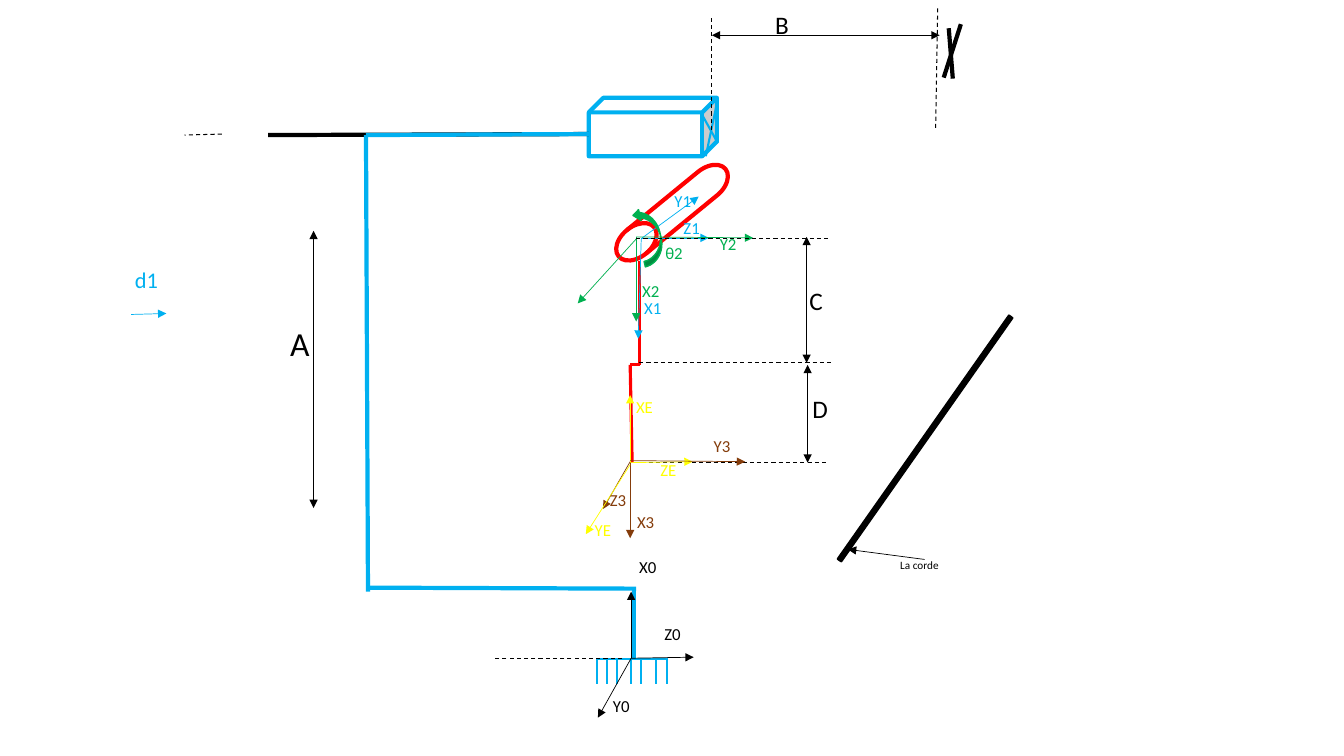
from dataclasses import dataclass

from lxml import etree
from pptx import Presentation
from pptx.dml.color import RGBColor
from pptx.enum.dml import MSO_LINE
from pptx.enum.shapes import MSO_CONNECTOR, MSO_SHAPE
from pptx.enum.text import MSO_AUTO_SIZE
from pptx.oxml.ns import qn
from pptx.util import Cm, Length, Pt

DASH = MSO_LINE.DASH
STRAIGHT = MSO_CONNECTOR.STRAIGHT
GROW = MSO_AUTO_SIZE.SHAPE_TO_FIT_TEXT
CAN = MSO_SHAPE.CAN
DRUM = MSO_SHAPE.FLOWCHART_DIRECT_ACCESS_STORAGE
CUBE = MSO_SHAPE.CUBE
CURL = MSO_SHAPE.CURVED_UP_ARROW

UNIT = 2.54
FONT = "Calibri"
HUES = {
    "black": "000000",
    "white": "FFFFFF",
    "blue": "00B0F0",
    "red": "FF0000",
    "green": "00B050",
    "brown": "843C0B",
    "yellow": "FFFF00",
}


@dataclass(frozen=True)
class Pen:
    hue: str
    width: float
    dash: bool = False
    head: bool = False
    tail: bool = False


@dataclass(frozen=True)
class Path:
    pen: Pen
    ends: tuple[float, float, float, float]


@dataclass(frozen=True)
class Solid:
    form: MSO_SHAPE
    box: tuple[float, float, float, float]
    fill: str
    pen: Pen
    turn: float = 0
    adjust: tuple[float, ...] = ()


@dataclass(frozen=True)
class Label:
    text: str
    left: float
    top: float
    hue: str = "black"
    size: int = 12
    width: float = 0.55
    height: float = 0.3


FRAME = Pen("blue", 3)
BASE = Pen("blue", 1.5)
BAR = Pen("black", 3)
ARM = Pen("red", 2.25)
GUIDE = Pen("black", 0.75, dash=True)
SPAN = Pen("black", 0.5, head=True, tail=True)
AXIS = {hue: Pen(hue, 0.5, tail=True) for hue in HUES}
TEETH = (5.92, 6.02, 6.12, 6.26, 6.36, 6.51, 6.62)

PARTS = [
    Solid(CAN, (9.15, 2.87, 0.05, 2.96), "black", Pen("black", 1), 35.1, (0.083,)),
    Path(FRAME, (6.29, 6.53, 6.29, 5.82)),
    Solid(DRUM, (5.98, 1.96, 1.37, 0.3), "white", Pen("red", 3), 140.7),
    Path(ARM, (6.34, 3.62, 6.34, 2.59)),
    Path(BAR, (9.36, 0.77, 9.53, 0.24)),
    Solid(CUBE, (5.84, 0.97, 1.27, 0.58), "white", FRAME),
    Path(BASE, (5.92, 6.54, 6.63, 6.54)),
    *(Path(BASE, (x, 6.54, x, 6.79)) for x in TEETH),
    Path(AXIS["black"], (6.26, 6.53, 6.88, 6.52)),
    Path(BAR, (2.66, 1.34, 5.84, 1.33)),
    Path(AXIS["black"], (6.26, 6.53, 6.26, 5.87)),
    Path(BASE, (7.12, 0.98, 7, 1.55)),
    Path(BASE, (6.97, 1.15, 7.12, 1.42)),
    Path(BAR, (9.41, 0.28, 9.45, 0.78)),
    Path(AXIS["black"], (6.26, 6.53, 5.93, 7.12)),
    Path(AXIS["blue"], (6.37, 2.36, 6.93, 1.95)),
    Path(GUIDE, (2.2, 1.33, 1.83, 1.34)),
    Path(GUIDE, (6.17, 6.53, 4.89, 6.53)),
    Path(GUIDE, (9.28, 1.27, 9.3, 0.08)),
    Path(SPAN, (3.11, 2.29, 3.11, 5.04)),
    Path(SPAN, (7.06, 0.35, 9.32, 0.35)),
    Path(AXIS["blue"], (1.3, 3.12, 1.65, 3.11)),
    Path(ARM, (6.27, 4.59, 6.25, 3.62)),
    Path(ARM, (6.25, 3.62, 6.35, 3.62)),
    Path(AXIS["blue"], (6.36, 2.37, 6.33, 3.36)),
    Path(AXIS["blue"], (6.36, 2.36, 7.03, 2.36)),
    Path(AXIS["green"], (6.31, 2.35, 6.31, 3.19)),
    Path(AXIS["green"], (6.31, 2.35, 7.47, 2.36)),
    Solid(CURL, (6.15, 2.23, 0.58, 0.22), "green", Pen("green", 1), 256.5, (0.25, 0.5, 0.305)),
    Path(AXIS["green"], (6.32, 2.36, 5.73, 3.01)),
    Path(GUIDE, (7.06, 1.29, 7.06, 0.16)),
    Path(GUIDE, (6.31, 2.37, 8.24, 2.37)),
    Path(GUIDE, (6.34, 3.6, 8.27, 3.6)),
    Path(GUIDE, (6.29, 4.59, 8.22, 4.59)),
    Path(SPAN, (8, 2.35, 8, 3.6)),
    Path(SPAN, (8.01, 3.62, 8.01, 4.59)),
    Path(AXIS["brown"], (6.25, 4.58, 6.25, 5.34)),
    Path(AXIS["brown"], (6.25, 4.58, 5.98, 5.05)),
    Path(AXIS["yellow"], (6.25, 4.59, 6.87, 4.58)),
    Path(AXIS["yellow"], (6.25, 4.58, 6.25, 3.92)),
    Path(AXIS["yellow"], (6.25, 4.61, 5.81, 5.3)),
    Path(AXIS["brown"], (6.25, 4.57, 7.39, 4.58)),
    Path(AXIS["black"], (9.17, 5.55, 8.41, 5.45)),
    Path(FRAME, (6.31, 5.84, 3.65, 5.83)),
    Path(FRAME, (3.65, 5.87, 3.63, 1.34)),
    Path(FRAME, (5.84, 1.33, 3.63, 1.34)),
]

LABELS = [
    Label("X0", 6.24, 5.47),
    Label("Z0", 6.49, 6.14),
    Label("Y0", 5.98, 6.85),
    Label("Y1", 6.59, 1.84, "blue"),
    Label("X1", 6.29, 2.9, "blue"),
    Label("Z1", 6.68, 2.11, "blue"),
    Label("θ2", 6.5, 2.36, "green", width=0.73),
    Label("X2", 6.27, 2.74, "green"),
    Label("Y2", 7.04, 2.27, "green", width=0.42),
    Label("Y3", 6.98, 4.27, "brown"),
    Label("X3", 6.22, 5.03, "brown"),
    Label("Z3", 5.95, 4.81, "brown"),
    Label("XE", 6.21, 3.89, "yellow"),
    Label("YE", 5.8, 5.11, "yellow"),
    Label("ZE", 6.45, 4.51, "yellow"),
    Label("A", 2.78, 3.15, size=24, width=0.6, height=0.5),
    Label("B", 7.59, 0.04, size=18, height=0.4),
    Label("C", 7.93, 2.78, size=18, height=0.4),
    Label("D", 7.96, 3.85, size=18, height=0.4),
    Label("d1", 1.24, 2.59, "blue", size=16, height=0.37),
    Label("La corde", 8.83, 5.49, size=8, width=1.16, height=0.24),
]


def scale(*marks: float) -> list[Length]:
    return [Cm(mark * UNIT) for mark in marks]


def tint(hue: str) -> RGBColor:
    return RGBColor.from_string(HUES[hue])


def ink(line, pen: Pen) -> None:
    line.color.rgb = tint(pen.hue)
    line.width = Pt(pen.width)
    if pen.dash:
        line.dash_style = DASH


def draw_path(shapes, path: Path) -> None:
    link = shapes.add_connector(STRAIGHT, *scale(*path.ends))
    ink(link.line, path.pen)
    props = link._element.spPr
    for tag, shown in (("a:headEnd", path.pen.head), ("a:tailEnd", path.pen.tail)):
        if shown:
            etree.SubElement(props.find(qn("a:ln")), qn(tag), type="triangle")
    etree.SubElement(props, qn("a:effectLst"))


def draw_solid(shapes, solid: Solid) -> None:
    shape = shapes.add_shape(solid.form, *scale(*solid.box))
    shape.shadow.inherit = False
    shape.rotation = solid.turn
    for index, value in enumerate(solid.adjust):
        shape.adjustments[index] = value
    shape.fill.solid()
    shape.fill.fore_color.rgb = tint(solid.fill)
    ink(shape.line, solid.pen)


def write(frame, text: str, *, size: int, hue: str) -> None:
    frame.word_wrap = True
    frame.auto_size = GROW
    run = frame.paragraphs[0].add_run()
    run.text = text
    run.font.name = FONT
    run.font.size = Pt(size)
    run.font.color.rgb = tint(hue)


def main() -> None:
    deck = Presentation()
    deck.slide_width, deck.slide_height = scale(13.33, 7.5)
    shapes = deck.slides.add_slide(deck.slide_layouts[6]).shapes
    for part in PARTS:
        if isinstance(part, Path):
            draw_path(shapes, part)
        else:
            draw_solid(shapes, part)
    for label in LABELS:
        box = shapes.add_textbox(*scale(label.left, label.top, label.width, label.height))
        write(box.text_frame, label.text, size=label.size, hue=label.hue)
    deck.save("out.pptx")


if __name__ == "__main__":
    main()
